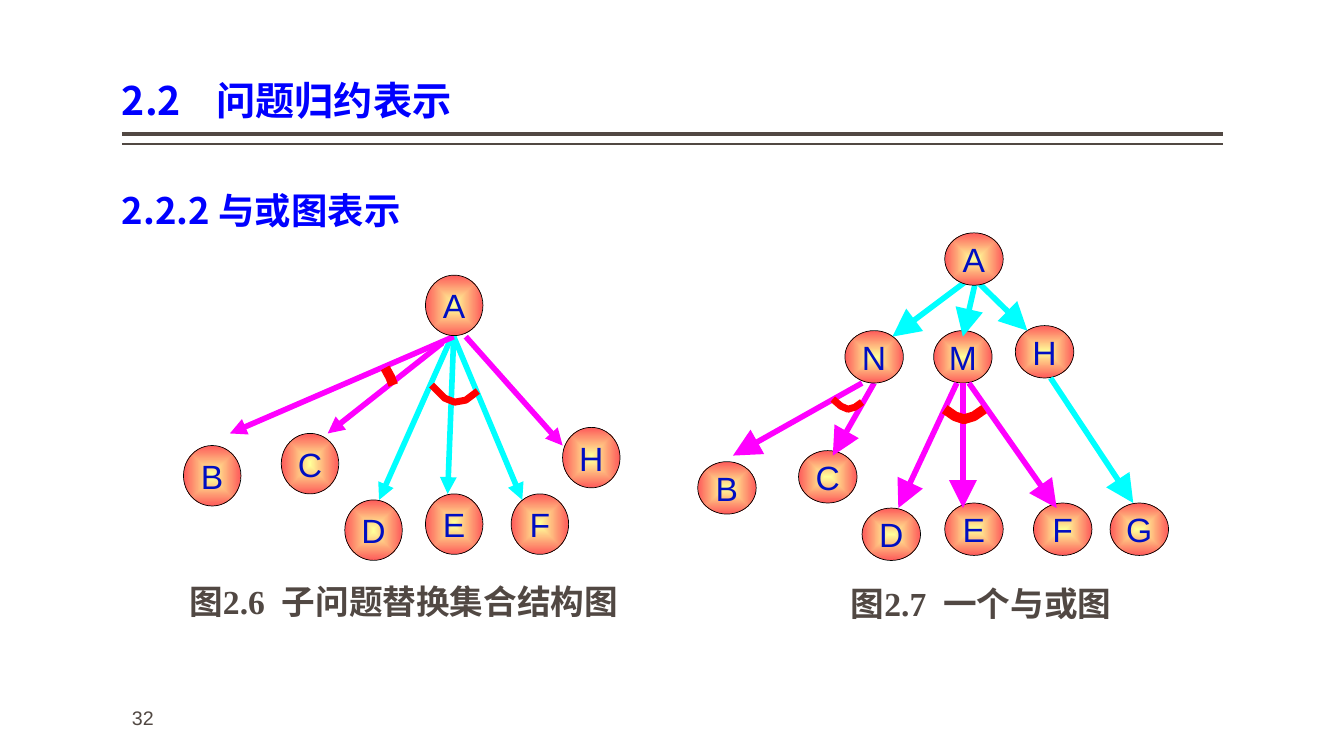
from dataclasses import dataclass

from lxml import etree
from pptx import Presentation
from pptx import util as u
from pptx.dml.color import RGBColor
from pptx.enum import shapes, text
from pptx.oxml import ns

# Grid: one column or row is a tenth of an inch
COLUMNS, ROWS = 133.3, 75
CELL = u.Inches(0.1)

BLUE = RGBColor(0x00, 0x00, 0xFF)
NAVY = RGBColor(0x00, 0x0E, 0xC2)
GREY = RGBColor(0x51, 0x48, 0x43)
BLACK = RGBColor(0x00, 0x00, 0x00)
CYAN = RGBColor(0x00, 0xFF, 0xFF)
MAGENTA = RGBColor(0xFF, 0x00, 0xFF)
RED = RGBColor(0xFF, 0x00, 0x00)
YELLOW = RGBColor(0xFF, 0xFF, 0x99)
CORAL = RGBColor(0xFE, 0x5A, 0x5A)

SANS, SERIF, CJK = "Arial", "Times New Roman", "Noto Sans CJK SC"
LEFT, RIGHT = 12.1, 121.3

Point = tuple[float, float]


@dataclass
class Node:
    label: str
    left: float
    top: float


@dataclass
class Edge:
    start: Point
    end: Point
    color: RGBColor


@dataclass
class Arc:
    points: list[Point]
    weight: float


@dataclass
class Graph:
    node_size: Point
    head_size: str
    lower: list[Node]
    edges: list[Edge]
    upper: list[Node]
    arcs: list[Arc]


@dataclass
class Label:
    words: str
    left: float
    top: float
    width: float
    height: float
    size: float
    font: str
    color: RGBColor
    bold: bool = True
    spacing: float = 1.0
    side_inset: float = 1.0


def cells(count: float) -> u.Emu:
    return u.Emu(round(count * CELL))


def place(shape, left: float, top: float, width: float, height: float) -> None:
    shape.left, shape.top = cells(left), cells(top)
    shape.width, shape.height = cells(width), cells(height)


def style(para, size: float, font: str, color: RGBColor, bold: bool = False) -> None:
    para.font.size, para.font.name, para.font.bold = u.Pt(size), font, bold
    para.font.color.rgb = color
    latin = para._p.pPr.find(".//" + ns.qn("a:latin"))
    east_asian = etree.Element(ns.qn("a:ea"), typeface=CJK)
    latin.addnext(east_asian)


def write(shape, label: Label, anchor=text.MSO_ANCHOR.TOP) -> None:
    place(shape, label.left, label.top, label.width, label.height)
    frame = shape.text_frame
    frame.word_wrap, frame.auto_size = True, text.MSO_AUTO_SIZE.NONE
    frame.vertical_anchor = anchor
    frame.margin_left = frame.margin_right = cells(label.side_inset)
    para = frame.paragraphs[0]
    para.text, para.alignment = label.words, text.PP_ALIGN.LEFT
    para.line_spacing = label.spacing
    style(para, label.size, label.font, label.color, label.bold)


def draw_line(page, start: Point, end: Point, color: RGBColor, weight: float, head: str = "") -> None:
    line = page.shapes.add_connector(
        shapes.MSO_CONNECTOR.STRAIGHT, *(cells(value) for value in start + end))
    line.line.color.rgb, line.line.width = color, u.Pt(weight)
    if head:
        etree.SubElement(line.line._get_or_add_ln(), ns.qn("a:tailEnd"),
                         type="triangle", w=head, len=head)
    etree.SubElement(line._element.spPr, ns.qn("a:effectLst"))


def draw_node(page, node: Node, size: Point) -> None:
    oval = page.shapes.add_shape(shapes.MSO_SHAPE.OVAL, 0, 0, 0, 0)
    place(oval, node.left, node.top, *size)
    oval.shadow.inherit = False
    oval.line.color.rgb, oval.line.width = BLACK, u.Pt(0.5)
    # Radial gradient from the centre
    oval.fill.gradient()
    for stop, position, color in zip(oval.fill.gradient_stops, (0, 1), (YELLOW, CORAL)):
        stop.position, stop.color.rgb = position, color
    gradient = oval._element.spPr.find(ns.qn("a:gradFill"))
    gradient.remove(gradient.find(ns.qn("a:lin")))
    radial = etree.Element(ns.qn("a:path"), {"path": "shape"})
    etree.SubElement(radial, ns.qn("a:fillToRect"), dict.fromkeys("ltrb", "50000"))
    gradient.find(ns.qn("a:gsLst")).addnext(radial)
    # Letter
    frame = oval.text_frame
    frame.word_wrap, frame.vertical_anchor = False, text.MSO_ANCHOR.MIDDLE
    para = frame.paragraphs[0]
    para.text, para.alignment = node.label, text.PP_ALIGN.CENTER
    style(para, 24, SANS, NAVY)


def draw_arc(page, arc: Arc) -> None:
    first, *rest = [(cells(x), cells(y)) for x, y in arc.points]
    builder = page.shapes.build_freeform(*first)
    builder.add_line_segments(rest, close=False)
    curve = builder.convert_to_shape()
    curve.shadow.inherit = False
    curve.fill.background()
    curve.line.color.rgb, curve.line.width = RED, u.Pt(arc.weight)


def draw_graph(page, graph: Graph) -> None:
    for node in graph.lower:
        draw_node(page, node, graph.node_size)
    for edge in graph.edges:
        draw_line(page, edge.start, edge.end, edge.color, 4, graph.head_size)
    for node in graph.upper:
        draw_node(page, node, graph.node_size)
    for arc in graph.arcs:
        draw_arc(page, arc)


SUBPROBLEMS = Graph(
    (5.7, 6), "med",
    [Node("B", 18.2, 44.2), Node("C", 27.9, 43), Node("D", 34.2, 49.6),
     Node("E", 42.2, 49), Node("F", 50.7, 49), Node("H", 55.8, 42.4)],
    [Edge((44.9, 33.2), (37.6, 49.6), CYAN), Edge((43.9, 34), (32.5, 43), MAGENTA),
     Edge((45, 33.4), (51.8, 49.6), CYAN), Edge((45, 33.4), (44.4, 49), CYAN),
     Edge((46.2, 33.4), (55.8, 44.2), MAGENTA), Edge((45, 33.4), (22.8, 43), MAGENTA)],
    [Node("A", 42.2, 27.3)],
    [Arc([(42.8, 38.2), (44.1, 39.5), (45.1, 39.9), (46.2, 39.7), (47.4, 38.8)], 5),
     Arc([(38.2, 36.5), (38.7, 37.4), (39, 38.2)], 7)])

AND_OR = Graph(
    (5.8, 5.2), "lg",
    [Node("H", 100.7, 32.3), Node("M", 92.6, 32.8), Node("B", 69.2, 45.8),
     Node("C", 79.2, 44.7), Node("D", 85.5, 50.4), Node("E", 93.7, 49.9),
     Node("F", 102.5, 49.9), Node("G", 110.1, 49.9)],
    [Edge((96.7, 28.2), (95.5, 33.4), CYAN), Edge((97.2, 28.2), (101.9, 32.8), CYAN),
     Edge((96.1, 27.7), (88.5, 33.4), CYAN), Edge((85.5, 38), (72.7, 45.2), MAGENTA),
     Edge((86.7, 38), (82.6, 45.2), MAGENTA), Edge((94.9, 38), (89.1, 50.4), MAGENTA),
     Edge((95.5, 38), (95.5, 50.4), MAGENTA), Edge((96.1, 38), (104.8, 50.4), MAGENTA),
     Edge((104.2, 37.5), (112.4, 49.9), CYAN)],
    [Node("A", 93.7, 23.1), Node("N", 83.8, 32.8)],
    [Arc([(82.6, 39.6), (83.4, 40.3), (84.1, 40.6), (84.8, 40.4), (85.5, 39.9)], 5),
     Arc([(93.7, 40.6), (94.7, 41.3), (95.6, 41.6), (96.6, 41.3), (97.6, 40.6)], 7)])

TITLE = Label("2.2    问题归约表示", LEFT, 0.8, RIGHT - LEFT, 12, 28, CJK, BLUE,
              spacing=0.9, side_inset=0)
LABELS = [
    Label("2.2.2 与或图表示", LEFT, 16, RIGHT - LEFT, 8.4, 26, CJK, BLUE,
          spacing=1.5, side_inset=0),
    Label("图2.7  一个与或图", 83.4, 58.1, 28.3, 4.2, 24, SERIF, GREY, spacing=0.8),
    Label("图2.6  子问题替换集合结构图", 17.8, 57.9, 45.7, 4.2, 24, SERIF, GREY, spacing=0.8),
    Label("32", LEFT, 69.5, 20, 4, 14, SANS, GREY, bold=False),
]


def main() -> None:
    deck = Presentation()
    deck.slide_width, deck.slide_height = cells(COLUMNS), cells(ROWS)
    page = deck.slides.add_slide(deck.slide_layouts.get_by_name("Title Only"))

    # Heading and double rule
    write(page.shapes.title, TITLE, text.MSO_ANCHOR.BOTTOM)
    for row, weight in ((13.3, 3), (14.3, 1)):
        draw_line(page, (LEFT, row), (RIGHT, row), GREY, weight)

    # Subheading, captions and page number
    for label in LABELS:
        write(page.shapes.add_textbox(0, 0, 0, 0), label)

    # The two graphs
    for graph in (SUBPROBLEMS, AND_OR):
        draw_graph(page, graph)

    deck.save("out.pptx")


if __name__ == "__main__":
    main()
